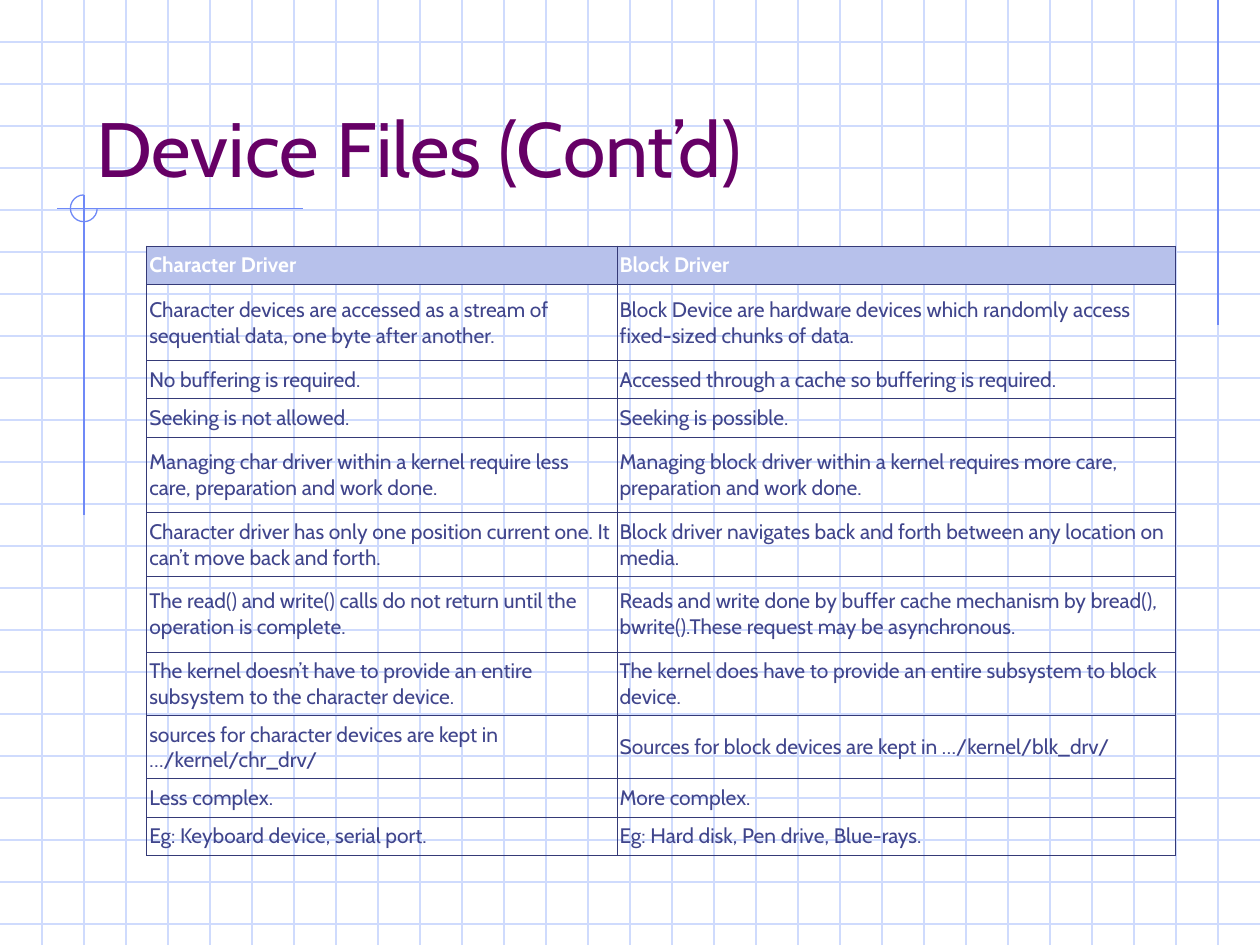
from lxml import etree
from pptx import Presentation
from pptx.dml.color import RGBColor
from pptx.enum.shapes import MSO_CONNECTOR, MSO_SHAPE
from pptx.enum.text import MSO_ANCHOR
from pptx.oxml import parse_xml
from pptx.oxml.ns import nsdecls, qn
from pptx.util import Cm, Pt

STRAIGHT = MSO_CONNECTOR.STRAIGHT
ARC = MSO_SHAPE.ARC
BOTTOM, MIDDLE = MSO_ANCHOR.BOTTOM, MSO_ANCHOR.MIDDLE

COLORS = {
    "paper": "FFFFFF", "grid": "CFDBFD", "accent": "6F89F7",
    "title": "660066", "header_fill": "B7C1EB", "header": "FFFFFF",
    "body": "40458C", "border": "353A77",
}
WIDTH, HEIGHT = 25.4, 19.05
GRID_STEP = 2.54 / 3


class SlideBuilder:
    font = "Cabin"
    line_width = 0.74
    border_width = 0.45

    def __init__(self, slide):
        self.slide = slide
        self.shapes = slide.shapes
        slide.background.fill.solid()
        slide.background.fill.fore_color.rgb = self.color("paper")

    def color(self, name):
        return RGBColor.from_string(COLORS[name])

    def stroke(self, shape, color):
        shape.line.color.rgb = self.color(color)
        shape.line.width = Pt(self.line_width)

    def line(self, x1, y1, x2, y2, color):
        rule = self.shapes.add_connector(STRAIGHT, Cm(x1), Cm(y1), Cm(x2), Cm(y2))
        self.stroke(rule, color)
        etree.SubElement(rule._element.spPr, qn("a:effectLst"))

    def arc(self, x, y, size, start, end, color):
        curve = self.shapes.add_shape(ARC, Cm(x), Cm(y), Cm(size), Cm(size))
        # Angles are stored in 60000ths of a degree, adjustments in 100000ths
        curve.adjustments[0] = start * 0.6
        curve.adjustments[1] = end * 0.6
        curve.shadow.inherit = False
        curve.fill.background()
        self.stroke(curve, color)

    def styled_run(self, frame, text, size, color, bold=False):
        run = frame.paragraphs[0].add_run()
        run.text = text
        run.font.name = self.font
        run.font.size = Pt(size)
        run.font.bold = bold
        run.font.color.rgb = self.color(color)

    def text(self, x, y, width, height, text, size, color):
        frame = self.shapes.add_textbox(Cm(x), Cm(y), Cm(width), Cm(height)).text_frame
        frame.word_wrap = True
        frame.vertical_anchor = BOTTOM
        self.styled_run(frame, text, size, color)

    def border(self, cell):
        properties = cell._tc.get_or_add_tcPr()
        for position, side in enumerate(("lnL", "lnR", "lnT", "lnB")):
            properties.insert(position, parse_xml(
                f'<a:{side} {nsdecls("a")} w="{Pt(self.border_width)}"><a:solidFill>'
                f'<a:srgbClr val="{COLORS["border"]}"/></a:solidFill></a:{side}>'))

    def table(self, x, y, widths, heights, rows, size):
        grid = self.shapes.add_table(len(rows), len(widths), Cm(x), Cm(y),
                                     Cm(sum(widths)), Cm(sum(heights))).table
        grid.horz_banding = False
        for column, width in zip(grid.columns, widths):
            column.width = Cm(width)
        for index, (row, height, texts) in enumerate(zip(grid.rows, heights, rows)):
            row.height = Cm(height)
            is_header = index == 0
            for cell, text in zip(row.cells, texts):
                cell.margin_left = cell.margin_right = Cm(0.05)
                cell.margin_top = cell.margin_bottom = Cm(0.13)
                cell.vertical_anchor = MIDDLE
                if is_header:
                    cell.fill.solid()
                    cell.fill.fore_color.rgb = self.color("header_fill")
                else:
                    cell.fill.background()
                self.border(cell)
                self.styled_run(cell.text_frame, text, size,
                                "header" if is_header else "body", is_header)


presentation = Presentation()
presentation.slide_width, presentation.slide_height = Cm(WIDTH), Cm(HEIGHT)
page = SlideBuilder(presentation.slides.add_slide(presentation.slide_layouts[6]))

# Graph paper
for step in range(1, 23):
    page.line(0, step * GRID_STEP, WIDTH, step * GRID_STEP, "grid")
for step in range(1, 30):
    page.line(step * GRID_STEP, 0, step * GRID_STEP, HEIGHT, "grid")

# Accent lines and open circle
page.line(29 * GRID_STEP, 0, 29 * GRID_STEP, 6.55, "accent")
page.line(6.1, 4.21, 1.15, 4.21, "accent")
page.line(2 * GRID_STEP, 3.93, 2 * GRID_STEP, 10.39, "accent")
page.arc(1.42, 3.93, 0.54, 0, 270, "accent")

# Title
page.text(1.69, 0.85, 21.59, 3.17, "Device Files (Cont’d)", 44, "title")

# Driver comparison
SHORT, MEDIUM, TALL = 0.64, 1.16, 1.53
drivers = [
    (0.78, "Character Driver", "Block Driver"),
    (TALL, "Character devices are accessed as a stream of sequential data, "
           "one byte after another.",
     "Block Device are hardware devices which randomly access fixed-sized chunks of data."),
    (SHORT, "No buffering is required.",
     "Accessed through a cache so buffering is required."),
    (SHORT, "Seeking is not allowed.", "Seeking is possible."),
    (TALL, "Managing char driver within a kernel require less care, "
           "preparation and work done.",
     "Managing block driver within a kernel requires more care, preparation and work done."),
    (MEDIUM, "Character driver has only one position current one. "
             "It can’t move back and forth.",
     "Block driver navigates back and forth between any location on media."),
    (TALL, "The read() and write() calls do not return until the operation is complete.",
     "Reads and write done by buffer cache mechanism by bread(), "
     "bwrite().These request may be asynchronous."),
    (MEDIUM, "The kernel doesn’t have to provide an entire subsystem to the character device.",
     "The kernel does have to provide an entire subsystem to block device."),
    (MEDIUM, "sources for character devices are kept in …/kernel/chr_drv/",
     "Sources for block devices are kept in …/kernel/blk_drv/"),
    (SHORT, "Less complex.", "More complex."),
    (SHORT, "Eg: Keyboard device, serial port.", "Eg: Hard disk, Pen drive, Blue-rays."),
]
page.table(2.96, 4.96, [9.48, 11.26], [height for height, *_ in drivers],
           [texts for _, *texts in drivers], 12)

presentation.save("out.pptx")
